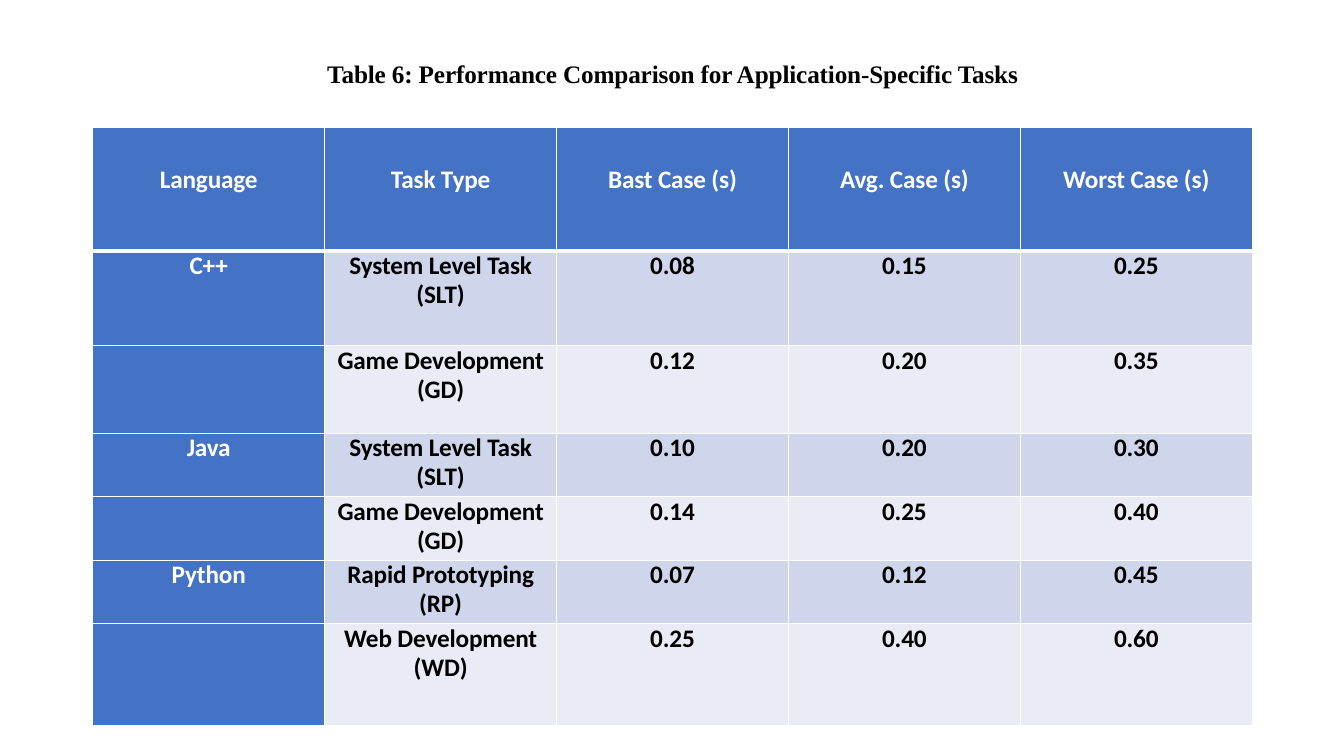
from lxml import etree
from pptx import Presentation
from pptx.dml.color import RGBColor
from pptx.enum.text import MSO_ANCHOR, PP_ALIGN
from pptx.oxml.ns import qn
from pptx.util import Inches, Pt

CENTER = PP_ALIGN.CENTER
MIDDLE = MSO_ANCHOR.MIDDLE
TOP = MSO_ANCHOR.TOP

TITLE = "Table 6: Performance Comparison for Application-Specific Tasks"
ROWS = [
    ("Language", "Task Type", "Bast Case (s)", "Avg. Case (s)", "Worst Case (s)"),
    ("C++", "System Level Task (SLT)", "0.08", "0.15", "0.25"),
    ("", "Game Development (GD)", "0.12", "0.20", "0.35"),
    ("Java", "System Level Task (SLT)", "0.10", "0.20", "0.30"),
    ("", "Game Development (GD)", "0.14", "0.25", "0.40"),
    ("Python", "Rapid Prototyping (RP)", "0.07", "0.12", "0.45"),
    ("", "Web Development (WD)", "0.25", "0.40", "0.60"),
]
ROW_HEIGHTS = [1.23, 0.94, 0.87, 0.63, 0.63, 0.63, 1.01]
COLUMN_WIDTH = 2.3
LEFT, TITLE_TOP, TITLE_HEIGHT, TABLE_TOP = 0.92, 0.4, 0.7, 1.26
TABLE_WIDTH = COLUMN_WIDTH * len(ROWS[0])

WHITE, BLACK, BLUE = "FFFFFF", "000000", "4472C4"
BANDS = ("E9EBF5", "CFD5EA")


def color(value):
    return RGBColor.from_string(value)


def write(frame, text, font_name, text_color, line_spacing):
    """Put one centred, bold 18 pt paragraph into a text frame."""
    frame.text = text
    para = frame.paragraphs[0]
    para.alignment = CENTER
    para.line_spacing = line_spacing
    para.font.size = Pt(18)
    for span in para.runs:
        span.font.name = font_name
        span.font.size = Pt(18)
        span.font.bold = True
        span.font.color.rgb = color(text_color)
        span._r.get_or_add_rPr().set("spc", "-10")
    return para


def add_borders(cell, widths):
    """Draw white cell borders; widths maps side letter to points."""
    properties = cell._tc.get_or_add_tcPr()
    for index, (side, width) in enumerate(widths.items()):
        line = etree.Element(qn("a:ln" + side), w=str(Pt(width)))
        fill = etree.SubElement(line, qn("a:solidFill"))
        etree.SubElement(fill, qn("a:srgbClr"), val=WHITE)
        properties.insert(index, line)


def add_title(page):
    box = page.shapes.add_textbox(
        Inches(LEFT), Inches(TITLE_TOP), Inches(TABLE_WIDTH), Inches(TITLE_HEIGHT))
    box.text_frame.word_wrap = True
    box.text_frame.vertical_anchor = MIDDLE
    write(box.text_frame, TITLE, "Times New Roman", BLACK, 0.9)


def add_results(page):
    table = page.shapes.add_table(
        len(ROWS), len(ROWS[0]), Inches(LEFT), Inches(TABLE_TOP),
        Inches(TABLE_WIDTH), Inches(sum(ROW_HEIGHTS))).table
    table.first_col = True
    for column in table.columns:
        column.width = Inches(COLUMN_WIDTH)
    for row_index, values in enumerate(ROWS):
        table.rows[row_index].height = Inches(ROW_HEIGHTS[row_index])
        for column_index, value in enumerate(values):
            cell = table.cell(row_index, column_index)
            is_header = row_index == 0
            is_blue = is_header or column_index == 0
            cell.margin_left = cell.margin_right = Inches(0.07)
            cell.margin_top = Inches(0.38 if is_header else 0)
            cell.margin_bottom = 0
            cell.vertical_anchor = TOP
            cell.fill.solid()
            cell.fill.fore_color.rgb = color(BLUE if is_blue else BANDS[row_index % 2])
            para = write(cell.text_frame, value, "Calibri",
                         WHITE if is_blue else BLACK, 0.95)
            para.space_after = Pt(6)
            add_borders(cell, {"L": 1, "R": 1, "T": 3 if row_index == 1 else 1,
                               "B": 3 if is_header else 1})


def main():
    deck = Presentation()
    deck.slide_width, deck.slide_height = Inches(13.33), Inches(7.5)
    page = deck.slides.add_slide(deck.slide_layouts[6])
    add_title(page)
    add_results(page)
    deck.save("out.pptx")


if __name__ == "__main__":
    main()
